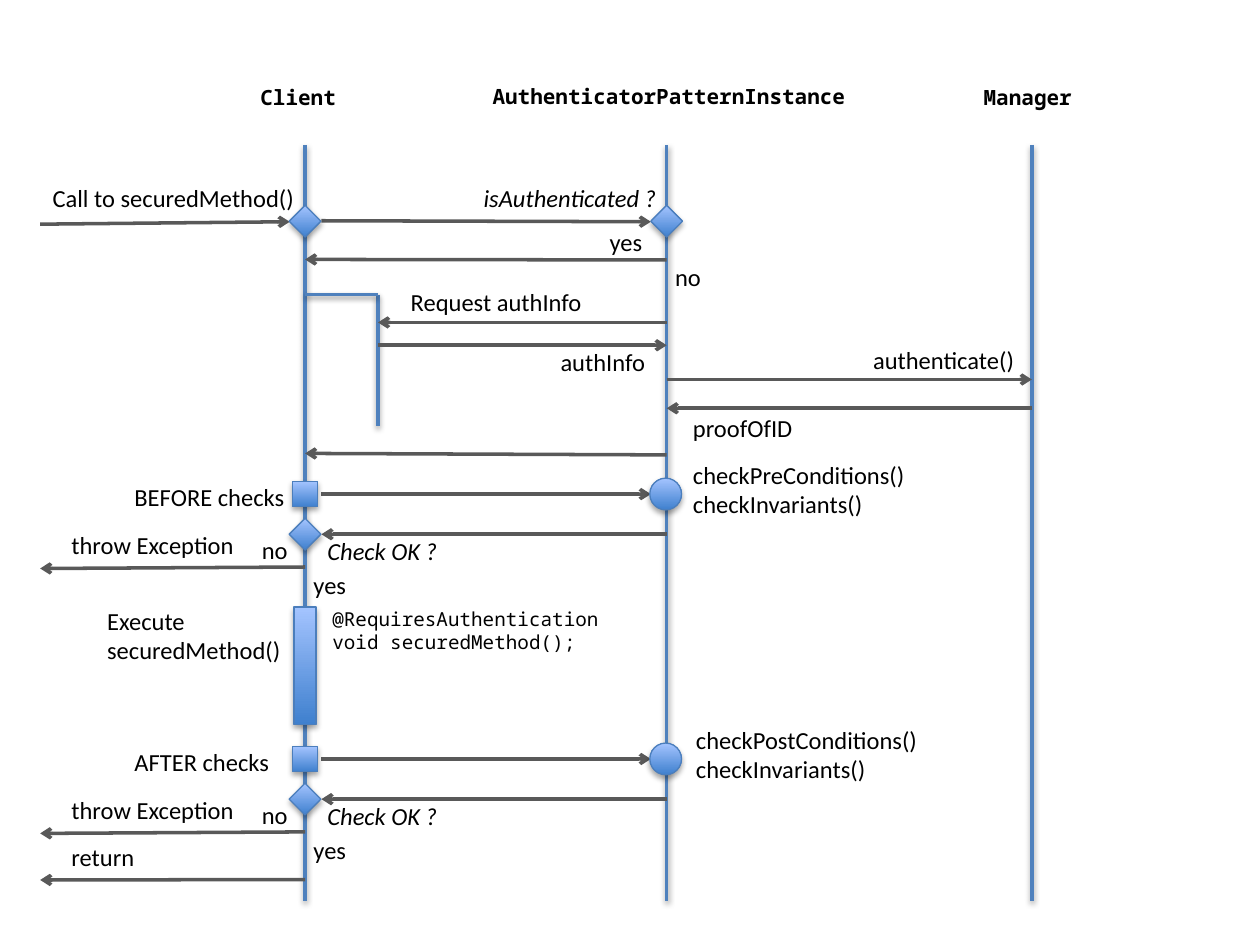
"""Build a sequence diagram of the authenticator pattern on one slide."""
from lxml import etree
from pptx import Presentation
from pptx.dml.color import RGBColor
from pptx.enum.shapes import MSO_CONNECTOR, MSO_SHAPE
from pptx.enum.text import MSO_AUTO_SIZE
from pptx.oxml.ns import qn
from pptx.util import Cm, Pt

STRAIGHT = MSO_CONNECTOR.STRAIGHT
DIAMOND, SQUARE, CIRCLE = MSO_SHAPE.DIAMOND, MSO_SHAPE.RECTANGLE, MSO_SHAPE.OVAL
FIT_SHAPE = MSO_AUTO_SIZE.SHAPE_TO_FIT_TEXT
BLACK = RGBColor(0x00, 0x00, 0x00)
GREY = RGBColor(0x59, 0x59, 0x59)
LIFELINE_BLUE = RGBColor(0x4F, 0x81, 0xBD)
OUTLINE_BLUE = RGBColor(0x4B, 0x7E, 0xBC)
DARK_BLUE = RGBColor(0x3F, 0x80, 0xCE)
LIGHT_BLUE = RGBColor(0xA4, 0xC4, 0xFF)
SANS, MONO = "Calibri", "Noto Sans Mono"

OUTSIDE, CLIENT, BRANCH, INSTANCE, MANAGER = 0.81, 6.15, 7.62, 13.44, 20.8
NODE = 0.64
CLIENT_EDGE, INSTANCE_EDGE = 6.48, 13.12
ROUND_GAP = 5.34

deck = Presentation()
deck.slide_width, deck.slide_height = Cm(25.4), Cm(19.05)
page = deck.slides.add_slide(deck.slide_layouts[6])


def add_line(start_x, start_y, end_x, end_y, color):
    line = page.shapes.add_connector(
        STRAIGHT, Cm(start_x), Cm(start_y), Cm(end_x), Cm(end_y))
    line.line.color.rgb = color
    line.line.width = Pt(2)
    etree.SubElement(line._element.spPr, qn("a:effectLst"))
    return line


def add_label(left, top, width, rows, size=14, font=SANS, bold=False, italic=False):
    box = page.shapes.add_textbox(
        Cm(left), Cm(top), Cm(width), Cm(0.86 if len(rows) == 1 else 1.45))
    frame = box.text_frame
    frame.word_wrap = width > 6
    frame.auto_size = FIT_SHAPE
    for index, row in enumerate(rows):
        para = frame.add_paragraph() if index else frame.paragraphs[0]
        span = para.add_run()
        span.text = row
        span.font.name = font
        span.font.size = Pt(size)
        span.font.bold = bold
        span.font.italic = italic
        span.font.color.rgb = BLACK


lifelines = [(x, 2.92, x, 18.16) for x in (CLIENT, INSTANCE, MANAGER)]
lifelines += [(BRANCH, 5.94, BRANCH, 8.59), (BRANCH, 5.94, CLIENT, 5.94)]
shadowed = [(add_line(*ends, LIFELINE_BLUE), 38000, 20000) for ends in lifelines]

messages = [
    (OUTSIDE, 4.52, 5.84, 4.47),
    (CLIENT_EDGE, 4.45, INSTANCE_EDGE, 4.47),
    (INSTANCE, 5.24, CLIENT, 5.23),
    (INSTANCE, 6.5, BRANCH, 6.5),
    (BRANCH, 6.96, INSTANCE, 6.96),
    (INSTANCE, 7.65, MANAGER, 7.65),
    (MANAGER, 8.23, INSTANCE, 8.23),
    (INSTANCE, 9.17, CLIENT, 9.14),
    (CLIENT, 17.73, OUTSIDE, 17.74),
]
nodes = [
    (DIAMOND, CLIENT, 4.46, NODE, NODE),
    (DIAMOND, INSTANCE, 4.46, NODE, NODE),
    (SQUARE, CLIENT, 13.42, 0.44, 2.36),
]
labels = [
    (0.81, 3.56, 5.44, ["Call to securedMethod()"]),
    (12.04, 4.45, 1.19, ["yes"]),
    (13.36, 5.16, 1.04, ["no"]),
    (8.03, 5.66, 4.01, ["Request authInfo"]),
    (11.05, 6.88, 2.24, ["authInfo"]),
    (17.35, 6.83, 3.4, ["authenticate()"]),
    (13.72, 8.2, 2.54, ["proofOfID"]),
    (1.91, 12.09, 4.04, ["Execute", "securedMethod()"]),
    (1.19, 16.84, 1.8, ["return"]),
]
questions = [(9.5, 3.56, 4.17, ["isAuthenticated ?"])]

rounds = [
    ("BEFORE checks", 3.56, "checkPreConditions()", 13.72, 4.83),
    ("AFTER checks", 3.25, "checkPostConditions()", 13.78, 5.03),
]
for index, (stage, stage_width, check, check_left, check_width) in enumerate(rounds):
    shift = index * ROUND_GAP
    messages += [
        (CLIENT_EDGE, 9.96 + shift, INSTANCE_EDGE, 9.96 + shift),
        (INSTANCE, 10.77 + shift, CLIENT_EDGE, 10.77 + shift),
        (CLIENT, 11.43 + shift, OUTSIDE, 11.46 + shift),
    ]
    nodes += [
        (SQUARE, CLIENT, 9.96 + shift, 0.51, 0.51),
        (CIRCLE, INSTANCE - 0.02, 9.96 + shift, NODE, NODE),
        (DIAMOND, CLIENT, 10.77 + shift, NODE, NODE),
    ]
    labels += [
        (2.46, 9.59 + shift, stage_width, [stage]),
        (check_left, 9.15 + shift, check_width, [check, "checkInvariants()"]),
        (1.19, 10.57 + shift, 3.84, ["throw Exception"]),
        (5.03, 10.67 + shift, 1.04, ["no"]),
        (6.07, 11.36 + shift, 1.19, ["yes"]),
    ]
    questions.append((6.35, 10.68 + shift, 2.87, ["Check OK ?"]))

for ends in messages:
    arrow = add_line(*ends, GREY)
    etree.SubElement(arrow.line._get_or_add_ln(), qn("a:tailEnd"), type="arrow")

for kind, center_x, center_y, width, height in nodes:
    node = page.shapes.add_shape(
        kind, Cm(center_x - width / 2), Cm(center_y - height / 2), Cm(width), Cm(height))
    node.fill.gradient()
    node.fill.gradient_angle = 90
    for stop, position, color in zip(
            node.fill.gradient_stops, (0, 1), (DARK_BLUE, LIGHT_BLUE)):
        stop.position = position
        stop.color.rgb = color
    node.line.color.rgb = OUTLINE_BLUE
    node.line.width = Pt(0.75)
    node.shadow.inherit = False
    shadowed.append((node, 35000, 23000))

for item, opacity, distance in shadowed:
    effects = item._element.spPr.find(qn("a:effectLst"))
    shadow = etree.SubElement(
        effects, qn("a:outerShdw"), blurRad="40000", dist=str(distance),
        dir="5400000", rotWithShape="0")
    tint = etree.SubElement(shadow, qn("a:srgbClr"), val=str(BLACK))
    etree.SubElement(tint, qn("a:alpha"), val=str(opacity))

for label in labels:
    add_label(*label)
for question in questions:
    add_label(*question, italic=True)
for left, top, width, name in [
        (5, 1.57, 2.06, "Client"),
        (9.68, 1.55, 7.67, "AuthenticatorPatternInstance"),
        (19.58, 1.57, 2.34, "Manager")]:
    add_label(left, top, width, [name], size=12, font=MONO, bold=True)
add_label(6.45, 12.12, 6.65, ["@RequiresAuthentication", "void securedMethod();"],
          size=11, font=MONO)

deck.save("out.pptx")
